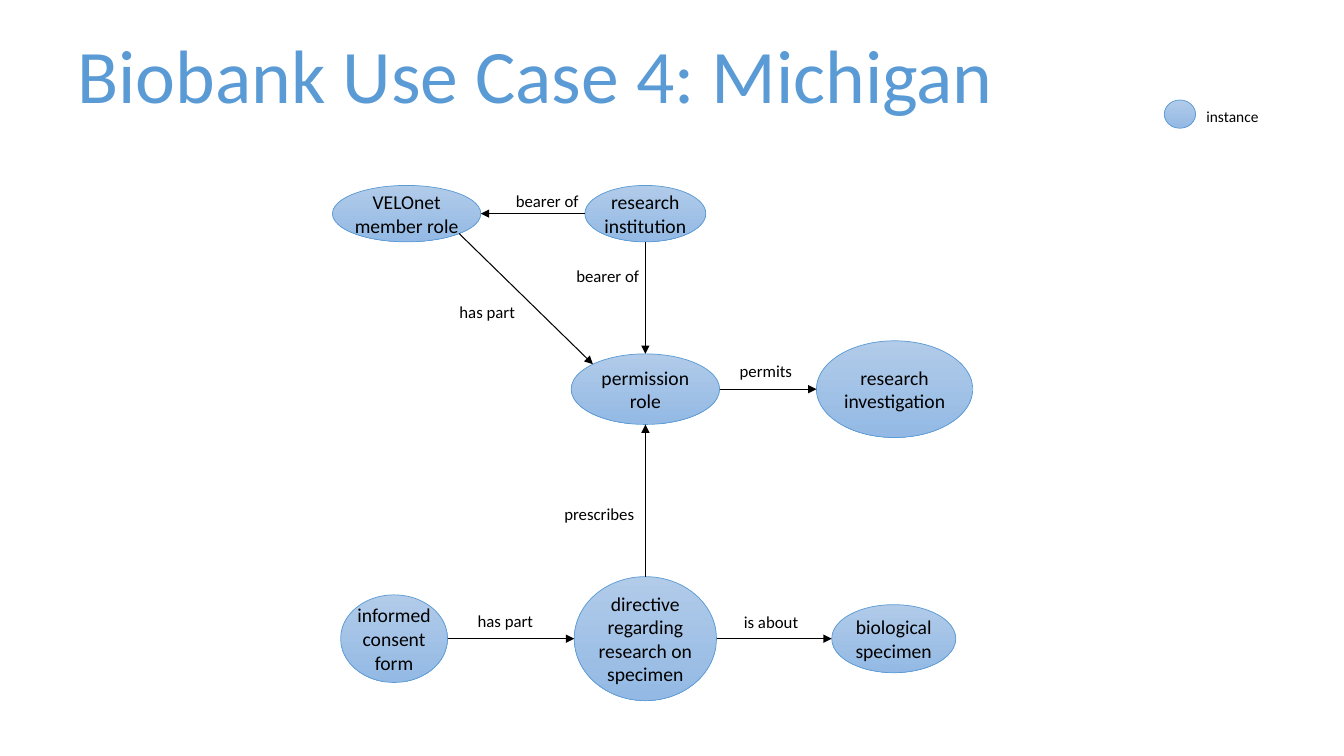
from dataclasses import dataclass
from math import cos, radians, sin

from lxml import etree
from pptx import Presentation
from pptx.dml.color import RGBColor
from pptx.enum.shapes import MSO_CONNECTOR, MSO_SHAPE
from pptx.enum.text import MSO_ANCHOR, MSO_AUTO_SIZE, PP_ALIGN
from pptx.oxml.ns import qn
from pptx.util import Pt

ELLIPSE, STRAIGHT = MSO_SHAPE.OVAL, MSO_CONNECTOR.STRAIGHT
LEFT, CENTER = PP_ALIGN.LEFT, PP_ALIGN.CENTER
TOP, MIDDLE = MSO_ANCHOR.TOP, MSO_ANCHOR.MIDDLE
GROW = MSO_AUTO_SIZE.SHAPE_TO_FIT_TEXT


@dataclass(frozen=True)
class Theme:
    """Colours, font and type sizes of the slide."""
    font: str = "Calibri"
    accent: str = "5B9BD5"
    ink: str = "000000"
    light: str = "B1CBE9"
    deep: str = "93B9E4"
    title: int = 54
    node: int = 14
    label: int = 12
    legend: int = 11


THEME = Theme()
TITLE = "Biobank Use Case 4: Michigan"
TITLE_BOX = (48.2, 16.6, 689.8, 72.7)
LEGEND = "instance"
LEGEND_NODE = (842.8, 81.5, 22.3, 20.2)     # centre x, centre y, width, height
LEGEND_BOX = (854.6, 72.7, 51.8, 20.9)      # left, top, width, height

MAIN_COLUMN = 461
ROLE_ROW, PERMISSION_ROW, DIRECTIVE_ROW = 152.6, 278, 456.2

# name: (text, centre x, centre y, width, height)
NODES = {
    "member": ("VELOnet member role", 290.5, ROLE_ROW, 106, 40.3),
    "institution": ("research institution", MAIN_COLUMN, ROLE_ROW, 86.4, 40.3),
    "permission": ("permission role", MAIN_COLUMN, PERMISSION_ROW, 106, 50.4),
    "investigation": ("research investigation", 639, PERMISSION_ROW, 111.6, 69.1),
    "consent": ("informed consent form", 281.5, DIRECTIVE_ROW, 76.4, 62.6),
    "directive": ("directive regarding research on specimen",
                  MAIN_COLUMN, DIRECTIVE_ROW, 101.6, 88.6),
    "specimen": ("biological specimen", 638.4, DIRECTIVE_ROW, 88.6, 48.6),
}

# (from, side, to, side, label, label left, label top, label width)
RELATIONS = [
    ("institution", "left", "member", "right", "bearer of", 361.4, 132.5, 59.8),
    ("institution", "bottom", "permission", "top", "bearer of", 404.6, 186.5, 59.8),
    ("member", "bottom right", "permission", "top left", "has part", 321.1, 211.7, 54.7),
    ("permission", "right", "investigation", "left", "permits", 521.3, 254.2, 52.6),
    ("directive", "top", "permission", "bottom", "prescribes", 396, 356.4, 64.8),
    ("consent", "right", "directive", "left", "has part", 334.1, 432.7, 54.7),
    ("directive", "right", "specimen", "left", "is about", 524.2, 433.4, 54),
]
LABEL_HEIGHT = 21.6

# Connection sites of an ellipse, anticlockwise from the top in steps of 45 degrees
SITES = ["top", "top left", "left", "bottom left",
         "bottom", "bottom right", "right", "top right"]


def points(*lengths):
    """Convert numbers to point lengths."""
    return [Pt(length) for length in lengths]


def write(shape, text, *, size, color=THEME.ink, align=LEFT, anchor=TOP,
          wrap=True, margin=None, auto_size=None):
    """Put formatted text into a shape."""
    frame = shape.text_frame
    frame.text = text
    frame.word_wrap = wrap
    frame.vertical_anchor = anchor
    if auto_size is not None:
        frame.auto_size = auto_size
    if margin is not None:
        frame.margin_left = frame.margin_right = Pt(margin)
        frame.margin_top = frame.margin_bottom = Pt(margin)
    paragraph = frame.paragraphs[0]
    paragraph.alignment = align
    font = paragraph.runs[0].font
    font.name, font.size = THEME.font, Pt(size)
    font.color.rgb = RGBColor.from_string(color)


def add_label(slide, text, box, size):
    """Add an unwrapped text box."""
    label = slide.shapes.add_textbox(*points(*box))
    write(label, text, size=size, wrap=False, auto_size=GROW)


def add_node(slide, center_x, center_y, width, height):
    """Add a shaded ellipse around a centre."""
    node = slide.shapes.add_shape(ELLIPSE, *points(
        center_x - width / 2, center_y - height / 2, width, height))
    node.shadow.inherit = False
    node.fill.gradient()
    node.fill.gradient_angle = 270
    for stop, color in zip(node.fill.gradient_stops, (THEME.light, THEME.deep)):
        stop.color.rgb = RGBColor.from_string(color)
    node.line.color.rgb = RGBColor.from_string(THEME.accent)
    node.line.width = Pt(0.5)
    return node


def site_position(name, side):
    """Find the point where a side of a node takes an arrow."""
    _, center_x, center_y, width, height = NODES[name]
    angle = radians(90 + 45 * SITES.index(side))
    return center_x + width / 2 * cos(angle), center_y - height / 2 * sin(angle)


def add_arrow(slide, shapes, start, start_side, end, end_side):
    """Join two nodes with an attached arrow."""
    arrow = slide.shapes.add_connector(STRAIGHT, *points(
        *site_position(start, start_side), *site_position(end, end_side)))
    arrow.line.color.rgb = RGBColor.from_string(THEME.ink)
    arrow.line.width = Pt(0.75)
    etree.SubElement(arrow.line._get_or_add_ln(), qn("a:tailEnd"), type="triangle")
    etree.SubElement(arrow._element.spPr, qn("a:effectLst"))
    links = arrow._element.find(".//" + qn("p:cNvCxnSpPr"))
    for tag, name, side in (("a:stCxn", start, start_side), ("a:endCxn", end, end_side)):
        etree.SubElement(links, qn(tag), id=str(shapes[name].shape_id),
                         idx=str(SITES.index(side)))


def main():
    """Build and save the slide."""
    presentation = Presentation()
    presentation.slide_width, presentation.slide_height = points(960, 540)
    slide = presentation.slides.add_slide(presentation.slide_layouts[5])

    title = slide.shapes.title
    title.left, title.top, title.width, title.height = points(*TITLE_BOX)
    write(title, TITLE, size=THEME.title, color=THEME.accent, auto_size=GROW)

    add_node(slide, *LEGEND_NODE)
    add_label(slide, LEGEND, LEGEND_BOX, THEME.legend)

    shapes = {}
    for name, (text, *geometry) in NODES.items():
        shapes[name] = add_node(slide, *geometry)
        write(shapes[name], text, size=THEME.node, align=CENTER, anchor=MIDDLE, margin=0)

    for *ends, text, left, top, width in RELATIONS:
        add_arrow(slide, shapes, *ends)
        add_label(slide, text, (left, top, width, LABEL_HEIGHT), THEME.label)

    presentation.save("out.pptx")


main()
